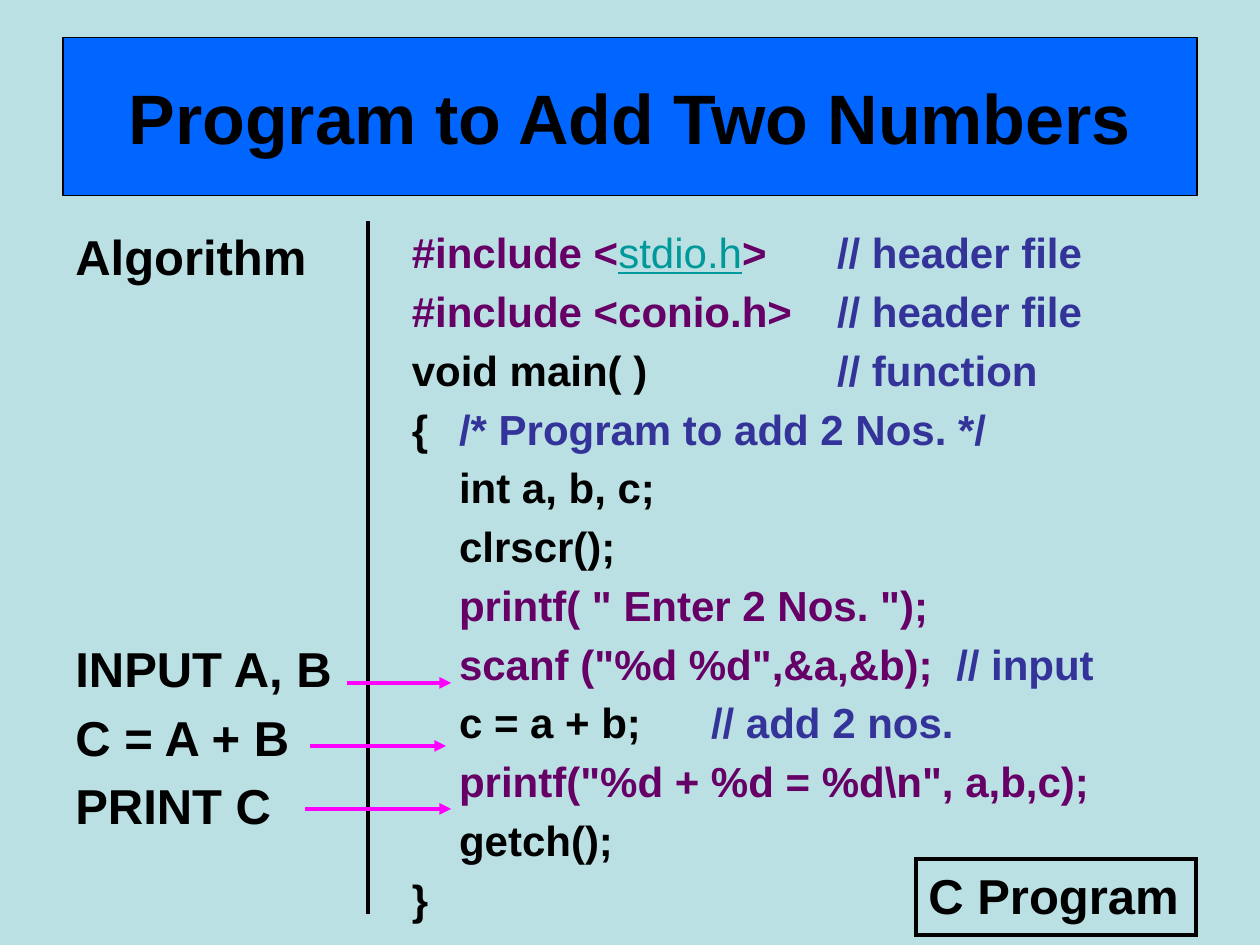
from dataclasses import dataclass

from pptx import Presentation
from pptx.dml.color import RGBColor
from pptx.enum.shapes import MSO_CONNECTOR as Conn, MSO_SHAPE as Shape
from pptx.enum.text import MSO_ANCHOR as Anchor, PP_ALIGN as Align
from pptx.oxml.ns import qn
from pptx.util import Inches, Pt
from lxml.etree import SubElement

BLACK = RGBColor(0x00, 0x00, 0x00)
PALE = RGBColor(0xBB, 0xE0, 0xE3)
BLUE = RGBColor(0x00, 0x66, 0xFF)
PURPLE = RGBColor(0x66, 0x00, 0x66)
NAVY = RGBColor(0x33, 0x33, 0x99)
TEAL = RGBColor(0x00, 0x99, 0x99)
PINK = RGBColor(0xFF, 0x00, 0xFF)
HANG = Inches(0.375)
TAB = Inches(1)


@dataclass(frozen=True)
class Span:
    text: str
    color: RGBColor = BLACK
    linked: bool = False


@dataclass(frozen=True)
class Line:
    spans: tuple[Span, ...]
    indented: bool = False
    gap: float = 0


@dataclass(frozen=True)
class Arrow:
    left: float
    right: float
    y: float


def line(*spans: Span, indented: bool = False, gap: float = 0) -> Line:
    return Line(spans, indented, gap)


ALGORITHM = [
    line(Span("Algorithm")),
    line(Span("INPUT A, B"), gap=196.2),
    line(Span("C = A + B")),
    line(Span("PRINT C")),
]

CODE = [
    line(Span("#include <", PURPLE), Span("stdio.h", TEAL, True),
         Span(">\t", PURPLE), Span("// header file", NAVY)),
    line(Span("#include <conio.h>\t", PURPLE), Span("// header file", NAVY)),
    line(Span("void main( )\t\t"), Span("// function", NAVY)),
    line(Span("{\t"), Span("/* Program to add 2 Nos. */", NAVY)),
    line(Span("int a, b, c;"), indented=True),
    line(Span("clrscr();"), indented=True),
    line(Span('printf( " Enter 2 Nos. ");', PURPLE), indented=True),
    line(Span('scanf ("%d %d",&a,&b);  ', PURPLE), Span("// input", NAVY), indented=True),
    line(Span("c = a + b;\t"), Span("// add 2 nos.", NAVY), indented=True),
    line(Span('printf("%d + %d = %d\\n", a,b,c);', PURPLE), indented=True),
    line(Span("getch();"), indented=True),
    line(Span("}")),
]

ARROWS = [Arrow(2.75, 3.58, 5.42), Arrow(2.46, 3.54, 5.92), Arrow(2.42, 3.58, 6.42)]


def style(p, size: int) -> None:
    p.font.name = "Arial"
    p.font.size = Pt(size)
    p.font.bold = True
    p.font.color.rgb = BLACK


def add_lines(s, x: float, w: float, h: float, size: int, lines: list[Line]) -> None:
    tf = s.shapes.add_textbox(Inches(x), Inches(1.75), Inches(w), Inches(h)).text_frame
    tf.word_wrap = True
    for i, item in enumerate(lines):
        p = tf.paragraphs[0] if i == 0 else tf.add_paragraph()
        style(p, size)
        p.space_before = Pt(0.2 * size + item.gap)
        pPr = p._p.get_or_add_pPr()
        pPr.set("marL", str(HANG))
        pPr.set("indent", str(0 if item.indented else -HANG))
        pPr.set("defTabSz", str(TAB))
        for span in item.spans:
            r = p.add_run()
            r.text = span.text
            r.font.name = "Arial"
            r.font.size = Pt(size)
            r.font.bold = not span.linked
            r.font.underline = span.linked
            r.font.color.rgb = span.color


def add_line(s, x1: float, y1: float, x2: float, y2: float,
             color: RGBColor, arrow: bool = False) -> None:
    c = s.shapes.add_connector(Conn.STRAIGHT, Inches(x1), Inches(y1), Inches(x2), Inches(y2))
    c.line.color.rgb = color
    c.line.width = Pt(2.25)
    if arrow:
        SubElement(c.line._get_or_add_ln(), qn("a:tailEnd"), type="triangle")
    SubElement(c._element.spPr, qn("a:effectLst"))


def add_title(s) -> None:
    sp = s.shapes.title
    sp.left, sp.top, sp.width, sp.height = map(Inches, (0.5, 0.3, 9, 1.25))
    sp.fill.solid()
    sp.fill.fore_color.rgb = BLUE
    sp.line.color.rgb = BLACK
    sp.line.width = Pt(0.75)
    tf = sp.text_frame
    tf.text = "Program to Add Two Numbers"
    tf.vertical_anchor = Anchor.MIDDLE
    p = tf.paragraphs[0]
    p.alignment = Align.CENTER
    style(p, 40)


def add_label(s) -> None:
    sp = s.shapes.add_shape(Shape.RECTANGLE, Inches(7.27), Inches(6.82), Inches(2.22), Inches(0.6))
    sp.shadow.inherit = False
    sp.fill.background()
    sp.line.color.rgb = BLACK
    sp.line.width = Pt(2.25)
    SubElement(sp.line._get_or_add_ln(), qn("a:miter"), lim="800000")
    tf = sp.text_frame
    tf.text = "C Program"
    tf.word_wrap = False
    tf.vertical_anchor = Anchor.TOP
    p = tf.paragraphs[0]
    p.alignment = Align.LEFT
    style(p, 28)


def main() -> None:
    prs = Presentation()
    prs.slide_width, prs.slide_height = Inches(10), Inches(7.5)
    s = prs.slides.add_slide(prs.slide_layouts[5])
    s.background.fill.solid()
    s.background.fill.fore_color.rgb = PALE
    add_title(s)
    add_lines(s, 0.5, 2.67, 5.5, 28, ALGORITHM)
    add_lines(s, 3.17, 6.83, 5.75, 24, CODE)
    add_line(s, 2.92, 1.75, 2.92, 7.25, BLACK)
    add_label(s)
    for a in ARROWS:
        add_line(s, a.left, a.y, a.right, a.y, PINK, arrow=True)
    prs.save("out.pptx")


if __name__ == "__main__":
    main()
